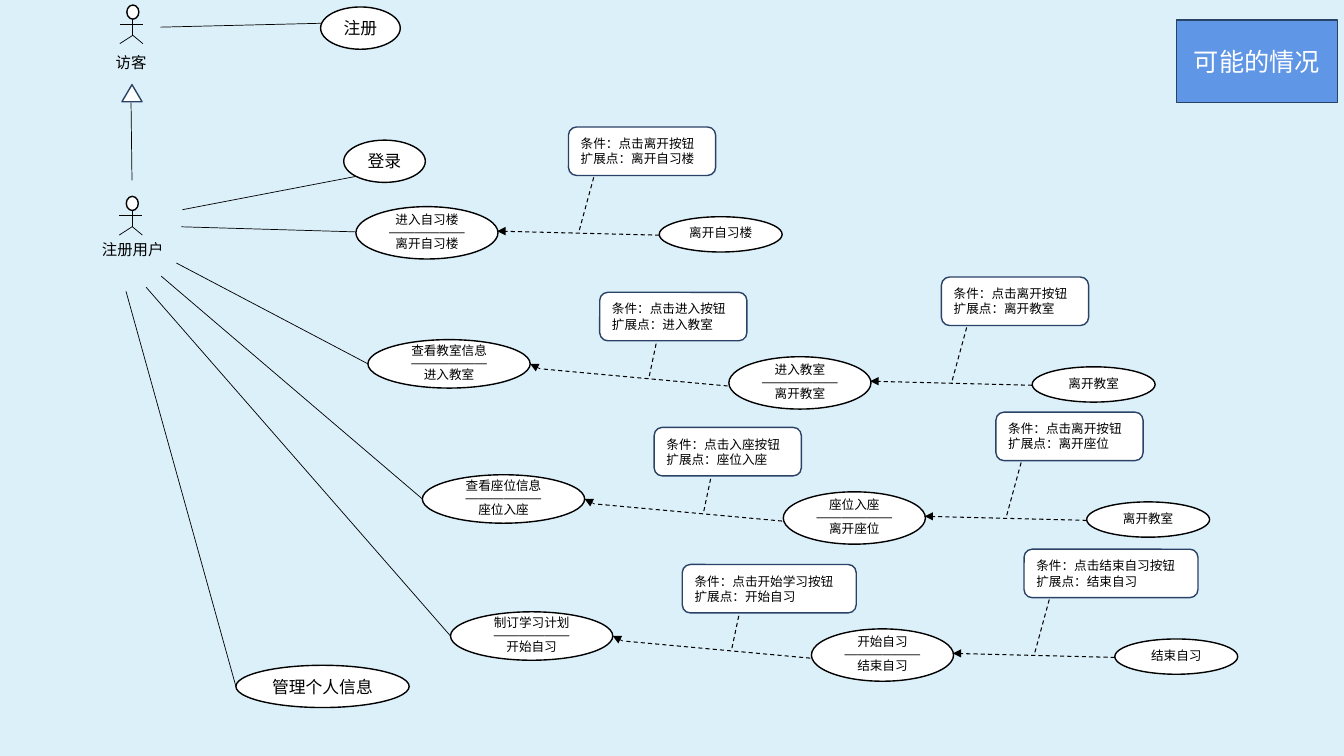
from dataclasses import dataclass

from lxml import etree
from pptx import Presentation
from pptx.dml.color import RGBColor
from pptx.enum.dml import MSO_LINE
from pptx.enum.shapes import MSO_CONNECTOR, MSO_SHAPE
from pptx.enum.text import MSO_ANCHOR, MSO_AUTO_SIZE, PP_ALIGN
from pptx.oxml.ns import qn
from pptx.util import Pt

STRAIGHT = MSO_CONNECTOR.STRAIGHT
OVAL, ROUNDED, TRIANGLE = MSO_SHAPE.OVAL, MSO_SHAPE.ROUNDED_RECTANGLE, MSO_SHAPE.ISOSCELES_TRIANGLE
MIDDLE, CENTER, LEFT = MSO_ANCHOR.MIDDLE, PP_ALIGN.CENTER, PP_ALIGN.LEFT
DASH, NO_AUTOFIT = MSO_LINE.DASH, MSO_AUTO_SIZE.NONE

COLOURS = {"background": "DCF0FA", "ink": "000000", "paper": "FFFFFF",
           "navy": "2A4265", "title": "6096E6"}
FONT = "Arial"
RULE = "——————"
NOTE_HEIGHT = 34.6

Point = tuple[float, float]
Box = tuple[float, float, float, float]


@dataclass
class Actor:
    name: str
    head: Point
    label: Box  # relative to the head


@dataclass
class Goal:
    name: str
    box: Box
    link: tuple[Point, Point]


@dataclass
class Extension:
    condition: str
    point: str
    note_width: float = 105.1


@dataclass
class Leaving:
    base: str
    extension: Extension
    end: str


@dataclass
class Flow:
    entry: str
    origin: Point
    link: tuple[Point, Point]
    extension: Extension
    leaving: Leaving


ACTORS = [
    Actor("访客", (90.6, 3.6), (-15.1, 31, 39.6, 20.9)),
    Actor("注册用户", (90.2, 140.3), (-24.5, 27.4, 59, 20.9)),
]
GOALS = [
    Goal("注册", (229, 5, 56.9, 30.2), ((114.5, 19.4), (231.1, 16.6))),
    Goal("登录", (245.5, 100.1, 58.3, 30.2), ((130.3, 149.8), (254.2, 126))),
    Goal("管理个人信息", (168.5, 475.2, 123.8, 30.2), ((90, 208.1), (168.5, 490.3))),
]
BUILDING_ORIGIN = (254.2, 147.6)
BUILDING_LINK = ((129.6, 162), (253.4, 165.6))
BUILDING = Leaving("进入自习楼", Extension("点击离开按钮", "离开自习楼"), "离开自习楼")
FLOWS = [
    Flow("查看教室信息", (262.8, 242.6), ((126, 187.9), (262.8, 259.9)),
         Extension("点击进入按钮", "进入教室"),
         Leaving("进入教室", Extension("点击离开按钮", "离开教室"), "离开教室")),
    Flow("查看座位信息", (301.7, 339.1), ((115.2, 197.3), (301.7, 356.4)),
         Extension("点击入座按钮", "座位入座"),
         Leaving("座位入座", Extension("点击离开按钮", "离开座位"), "离开教室")),
    Flow("制订学习计划", (321.8, 437), ((104.4, 205.2), (321.8, 454.3)),
         Extension("点击开始学习按钮", "开始自习", 124.2),
         Leaving("开始自习", Extension("点击结束自习按钮", "结束自习", 124.2), "结束自习")),
]


def rgb(name: str) -> RGBColor:
    return RGBColor.from_string(COLOURS[name])


def write(frame, lines: list[str], size: float, colour: str = "ink",
          align=CENTER, spacing: float = 1.0) -> None:
    for index, line in enumerate(lines):
        paragraph = frame.paragraphs[0] if index == 0 else frame.add_paragraph()
        paragraph.alignment = align
        paragraph.line_spacing = spacing
        run = paragraph.add_run()
        run.text = line
        run.font.name, run.font.size = FONT, Pt(size)
        run.font.color.rgb = rgb(colour)


def outline(shape, fill: str, line: str) -> None:
    shape.fill.solid()
    shape.fill.fore_color.rgb = rgb(fill)
    shape.line.color.rgb = rgb(line)
    shape.line.width = Pt(1)


def add_outlined(slide, kind, box: Box, line: str = "ink"):
    shape = slide.shapes.add_shape(kind, *map(Pt, box))
    shape.shadow.inherit = False
    outline(shape, "paper", line)
    shape.text_frame.vertical_anchor = MIDDLE
    shape.text_frame.word_wrap = True
    return shape


def add_case(slide, box: Box, lines: list[str], size: float = 9, spacing: float = 0.8) -> None:
    frame = add_outlined(slide, OVAL, box).text_frame
    frame.margin_left = frame.margin_right = frame.margin_top = frame.margin_bottom = 0
    write(frame, lines, size, spacing=spacing)


def add_line(slide, start: Point, end: Point, dashed: bool = False, arrow: bool = False) -> None:
    line = slide.shapes.add_connector(STRAIGHT, *map(Pt, (*start, *end)))
    line.line.color.rgb = rgb("ink")
    line.line.width = Pt(0.75 if dashed else 0.5)
    if dashed:
        line.line.dash_style = DASH
    if arrow:
        etree.SubElement(line.line._get_or_add_ln(), qn("a:tailEnd"), type="triangle")
    etree.SubElement(line._element.spPr, qn("a:effectLst"))


def shift(origin: Point, dx: float, dy: float) -> Point:
    return origin[0] + dx, origin[1] + dy


def add_note(slide, corner: Point, extension: Extension) -> None:
    note = add_outlined(slide, ROUNDED, (*corner, extension.note_width, NOTE_HEIGHT), "navy")
    write(note.text_frame, [f"条件：{extension.condition}", f"扩展点：{extension.point}"], 9, align=LEFT)


def add_actor(slide, actor: Actor) -> None:
    head = actor.head
    add_outlined(slide, OVAL, (*head, 8.6, 10.1))
    hip = shift(head, 4.3, 21.6)
    add_line(slide, shift(head, -5, 13.7), shift(head, 11.5, 13.7))
    add_line(slide, shift(head, 4.3, 10.1), hip)
    for foot in (-5, 11.5):
        add_line(slide, hip, shift(head, foot, 27.6))
    dx, dy, width, height = actor.label
    label = slide.shapes.add_textbox(*map(Pt, (*shift(head, dx, dy), width, height)))
    label.text_frame.word_wrap = False
    write(label.text_frame, [actor.name], 11, align=LEFT)


def add_leaving(slide, origin: Point, leaving: Leaving) -> None:
    add_case(slide, (*origin, 101.5, 37.4), [leaving.base, RULE, leaving.extension.point])
    add_line(slide, shift(origin, 216.7, 20.4), shift(origin, 101, 17.5), dashed=True)
    add_line(slide, shift(origin, 106, 17.5), shift(origin, 101, 17.5), arrow=True)
    add_line(slide, shift(origin, 169.9, -20.9), shift(origin, 159.1, 18.7), dashed=True)
    add_note(slide, shift(origin, 151.9, -56.9), leaving.extension)
    add_case(slide, (*shift(origin, 216.7, 7.2), 87.8, 25.2), [leaving.end])


def add_flow(slide, flow: Flow) -> None:
    origin = flow.origin
    add_line(slide, *flow.link)
    add_case(slide, (*origin, 115.9, 34.6), [flow.entry, RULE, flow.extension.point])
    add_line(slide, shift(origin, 257, 33.1), shift(origin, 123.8, 20.9), dashed=True)
    add_line(slide, shift(origin, 123.1, 20.9), shift(origin, 115.9, 17.3), arrow=True)
    add_line(slide, shift(origin, 205.9, 2.9), shift(origin, 200.9, 26.6), dashed=True)
    add_note(slide, shift(origin, 165.6, -33.8), flow.extension)
    add_leaving(slide, shift(origin, 257.8, 12.2), flow.leaving)


def main() -> None:
    deck = Presentation()
    deck.slide_width, deck.slide_height = Pt(960), Pt(540)
    slide = deck.slides.add_slide(deck.slide_layouts[5])
    slide.background.fill.solid()
    slide.background.fill.fore_color.rgb = rgb("background")

    # Title
    title = slide.shapes.title
    title.left, title.top, title.width, title.height = map(Pt, (840.2, 14.4, 115.2, 59))
    outline(title, "title", "navy")
    title.text_frame.auto_size = NO_AUTOFIT
    title.text_frame.vertical_anchor = MIDDLE
    write(title.text_frame, ["可能的情况"], 18, "paper")

    # Actors and generalisation
    for actor in ACTORS:
        add_actor(slide, actor)
    add_line(slide, (93.6, 73.4), (94.3, 128.9))
    add_outlined(slide, TRIANGLE, (87.1, 60.5, 14.4, 12.2), "navy")

    # Simple use cases
    for goal in GOALS:
        add_line(slide, *goal.link)
        add_case(slide, goal.box, [goal.name], 12, 1.0)

    # Extended use cases
    add_line(slide, *BUILDING_LINK)
    add_leaving(slide, BUILDING_ORIGIN, BUILDING)
    for flow in FLOWS:
        add_flow(slide, flow)
    deck.save("out.pptx")


if __name__ == "__main__":
    main()
